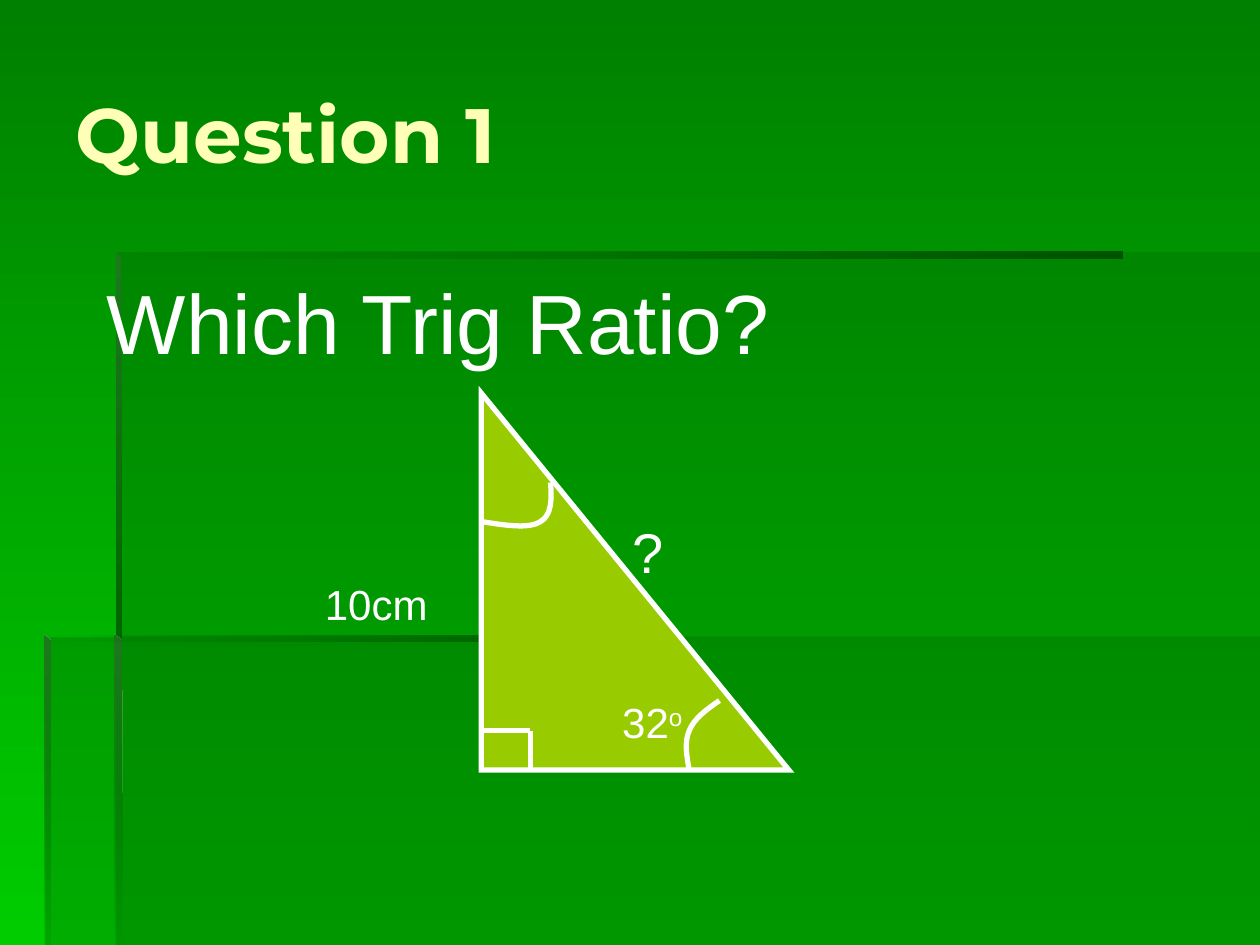
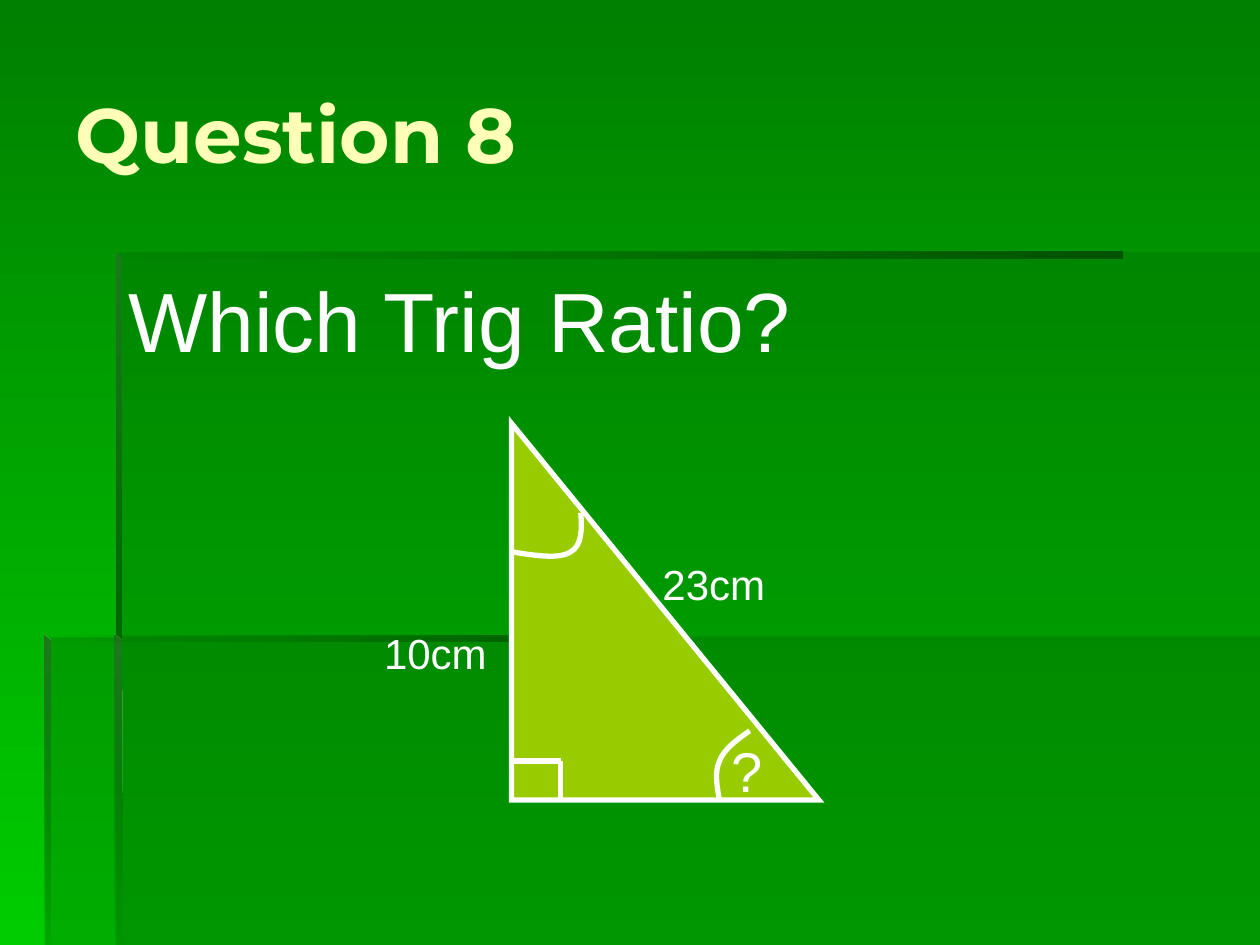
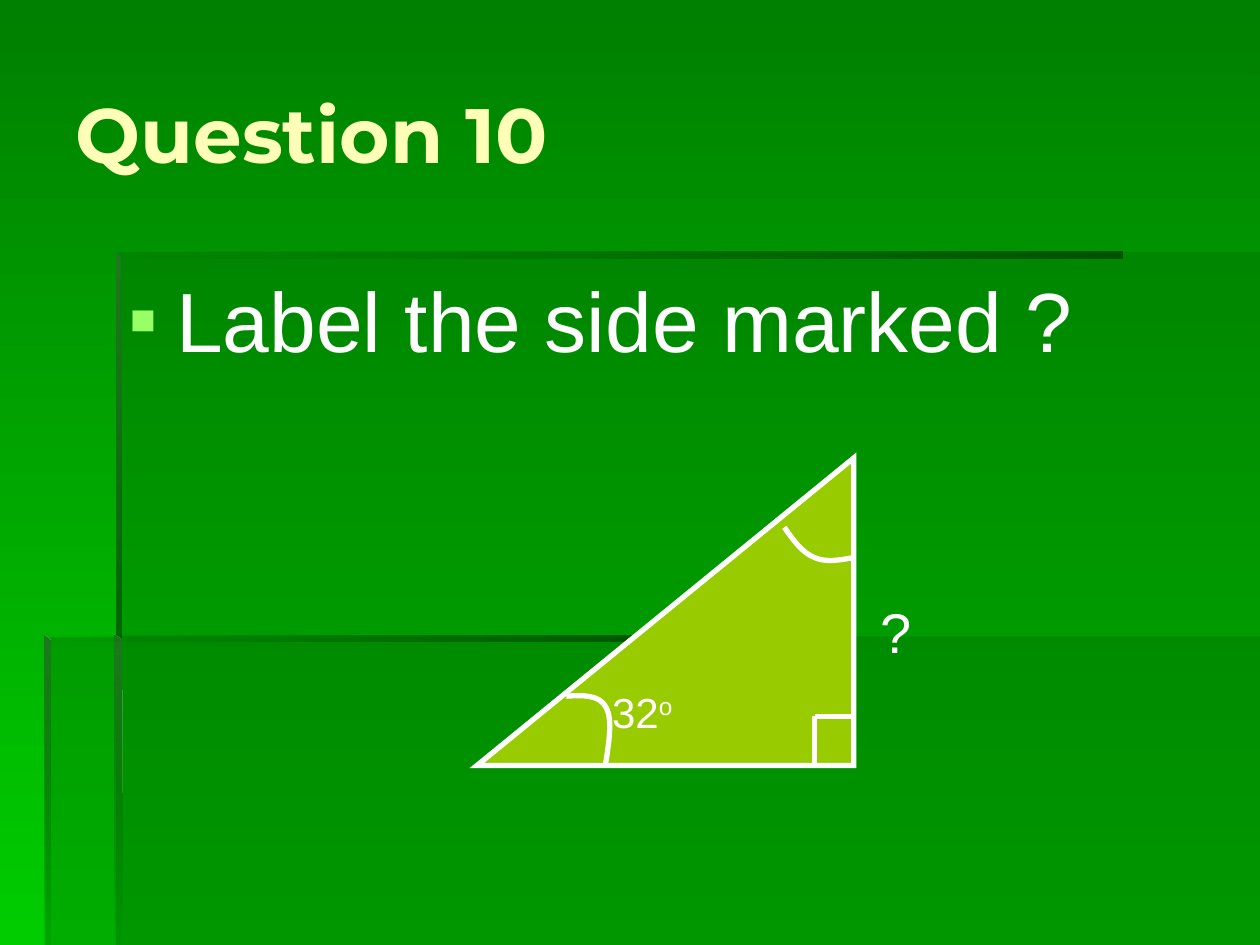
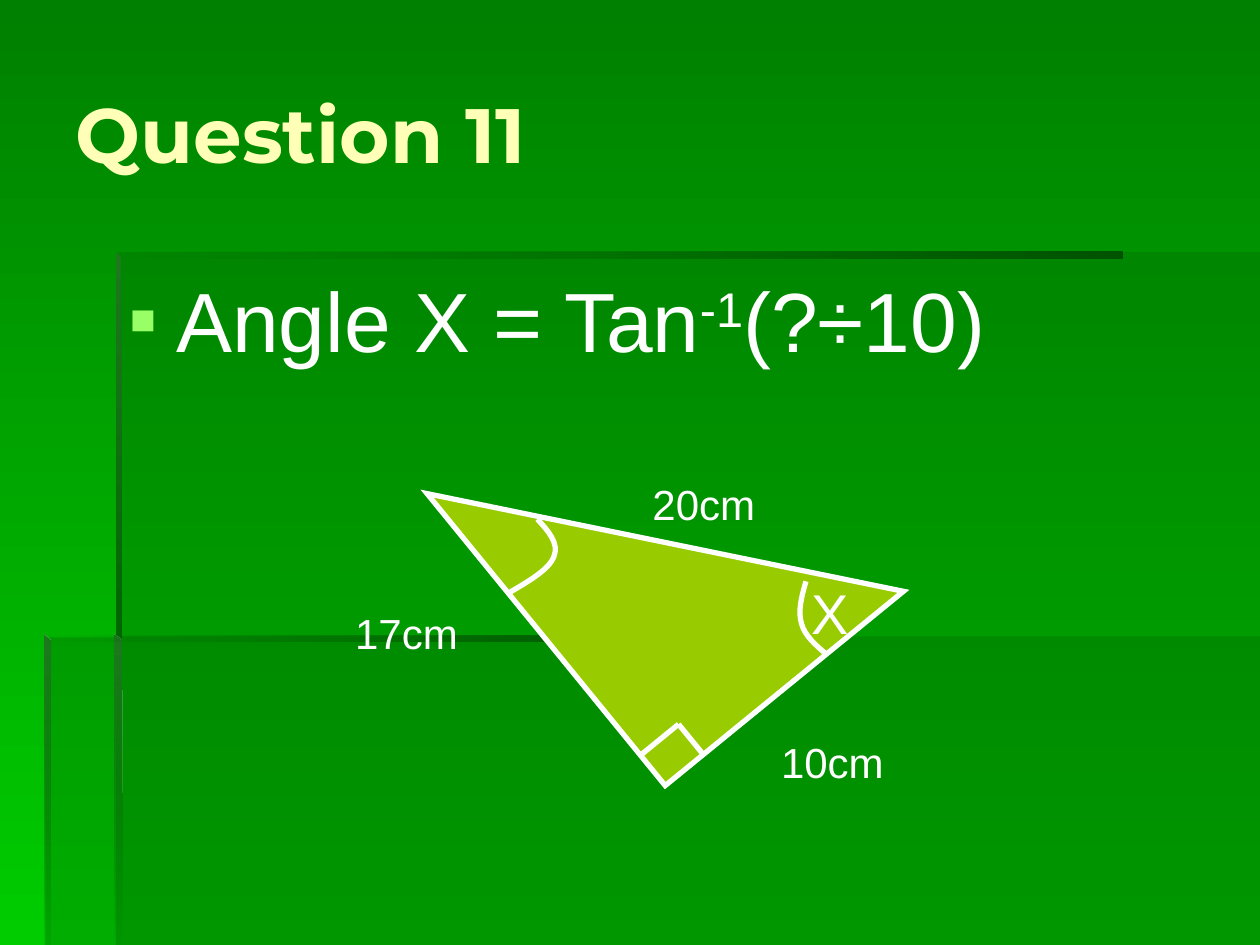
from lxml.etree import SubElement
from pptx import Presentation
from pptx.dml.color import RGBColor
from pptx.enum.shapes import MSO_CONNECTOR, MSO_SHAPE
from pptx.enum.text import MSO_ANCHOR, MSO_AUTO_SIZE, PP_ALIGN
from pptx.oxml.ns import qn
from pptx.util import Inches, Pt

# Shared look
WHITE, CREAM, LIME, BULLET = "FFFFFF", "FFFFB7", "99CC00", "99FF66"
BG_TOP, BG_BOTTOM = "008000", "00CC00"
SHADE, EDGE, HIGHLIGHT = "006600", "005300", "1E781E"
TITLE_FONT, TEXT_FONT = "Montserrat", "Arial"
DOWN, LEFTWARD = 270, 180  # gradient directions
TITLE_BOX = (0.5, 0.27, 9.17, 1.57)
BODY_BOX = (0.92, 2.08, 8.76, 4.58)
TRI_W, TRI_H = 2.44, 2.99

# Panels: outline and opacity
PANELS = [
    ([(0.92, 5.05), (0.92, 7.5), (10, 7.5), (10, 5.05)], 30),
    ([(0.94, 5.06), (0.36, 5.06), (0.36, 7.5), (10, 7.5), (10, 2), (0.94, 2)], 30),
]
# Bevelled edges: outline, start colour, end opacity, direction
EDGES = [
    ([(0.92, 2), (0.92, 2.05), (8.91, 2.05), (8.91, 2)], EDGE, 0, LEFTWARD),
    ([(0.92, 2), (0.92, 5.1), (0.97, 5.1), (0.96, 2.04)], HIGHLIGHT, 100, DOWN),
    ([(0.91, 7.5), (0.97, 7.5), (0.96, 5.08), (0.91, 5.04)], HIGHLIGHT, 0, DOWN),
    ([(0.35, 5.04), (0.35, 5.09), (5.35, 5.09), (5.35, 5.04)], EDGE, 0, LEFTWARD),
    ([(0.35, 5.04), (0.35, 7.5), (0.4, 7.5), (0.4, 5.09)], HIGHLIGHT, 10, DOWN),
]
# Angle arcs as Bezier points, relative to the triangle's box
APEX_ARC = [(0, 1.02), (0.19, 1.05), (0.38, 1.08), (0.47, 1.02),
            (0.56, 0.97), (0.56, 0.84), (0.55, 0.71)]
FOOT_ARC = [(1.89, 2.44), (1.79, 2.51), (1.69, 2.58), (1.65, 2.68),
            (1.61, 2.77), (1.63, 2.88), (1.65, 2.99)]
RIGHT_ANGLE = [(0, 2.68), (0.39, 2.68), (0.39, 2.99)]


def rgb(value):
    return RGBColor.from_string(value)


def box_inches(box):
    return [Inches(v) for v in box]


def set_gradient(fill, colours, angle):
    fill.gradient()
    fill.gradient_angle = angle
    for stop, colour in zip(fill.gradient_stops, colours):
        stop.color.rgb = rgb(colour)


def set_opacity(sp, percent):
    """Apply the opacity to the last colour of the shape's fill."""
    colour = sp.element.spPr.findall(".//" + qn("a:srgbClr"))[-1]
    SubElement(colour, qn("a:alpha"), val=str(percent * 1000))


def add_outline(shapes, points, close=True):
    pts = [box_inches(pt) for pt in points]
    builder = shapes.build_freeform(*pts[0])
    builder.add_line_segments(pts[1:], close=close)
    sp = builder.convert_to_shape()
    sp.shadow.inherit = False
    return sp


def style_line(sp):
    sp.line.color.rgb = rgb(WHITE)
    sp.line.width = Pt(3)


# Background panels and edges, kept on the layout
def add_backdrop(s, layout):
    set_gradient(layout.background.fill, (BG_TOP, BG_BOTTOM), DOWN)
    group = s.shapes.add_group_shape()
    for points, opacity in PANELS:
        sp = add_outline(group.shapes, points)
        sp.fill.solid()
        sp.fill.fore_color.rgb = rgb(SHADE)
        sp.line.fill.background()
        set_opacity(sp, opacity)
    for points, start, opacity, angle in EDGES:
        sp = add_outline(group.shapes, points)
        set_gradient(sp.fill, (start, SHADE), angle)
        sp.line.fill.background()
        set_opacity(sp, opacity)
    layout.shapes.element.insert(2, group.element)


# Text; parts between ^ marks are superscript
def write_runs(p, text, size):
    for i, part in enumerate(text.split("^")):
        if not part:
            continue
        r = p.add_run()
        r.text = part
        r.font.name, r.font.size = TEXT_FONT, Pt(size)
        r.font.color.rgb = rgb(WHITE)
        if i % 2:
            r._r.get_or_add_rPr().set("baseline", "30000")


def add_title(s, text):
    title = s.shapes.title
    title.left, title.top, title.width, title.height = box_inches(TITLE_BOX)
    tf = title.text_frame
    tf.text = text
    tf.auto_size = MSO_AUTO_SIZE.NONE
    tf.vertical_anchor = MSO_ANCHOR.MIDDLE
    p = tf.paragraphs[0]
    p.alignment = PP_ALIGN.LEFT
    font = p.runs[0].font
    font.name, font.size, font.bold = TITLE_FONT, Pt(44), True
    font.color.rgb = rgb(CREAM)


def add_body(s, text, box, bullet):
    tf = s.shapes.add_textbox(*box_inches(box)).text_frame
    tf.word_wrap = True
    p = tf.paragraphs[0]
    if bullet:
        pPr = p._p.get_or_add_pPr()
        pPr.set("marL", str(Inches(0.38)))
        pPr.set("indent", str(-Inches(0.38)))
        SubElement(SubElement(pPr, qn("a:buClr")), qn("a:srgbClr"), val=BULLET)
        SubElement(pPr, qn("a:buFont"), typeface=TEXT_FONT)
        SubElement(pPr, qn("a:buChar"), char="▪")
    write_runs(p, text, 48)


def add_label(s, text, left, top, width):
    size, height = (24, 0.5) if len(text) > 1 else (32, 0.64)
    tf = s.shapes.add_textbox(*box_inches((left, top, width, height))).text_frame
    tf.word_wrap = True
    tf.auto_size = MSO_AUTO_SIZE.SHAPE_TO_FIT_TEXT
    write_runs(tf.paragraphs[0], text, size)


# Right-angled triangle with its three angle marks
def add_arc(shapes, points):
    sp = add_outline(shapes, points, close=False)
    sp.fill.background()
    style_line(sp)
    outline = sp.element.find(".//" + qn("a:path"))
    segments = outline.findall(qn("a:lnTo"))
    for i in range(0, len(segments), 3):
        curve = SubElement(outline, qn("a:cubicBezTo"))
        for segment in segments[i:i + 3]:
            curve.append(segment[0])
            outline.remove(segment)


def add_triangle(s, left, top, rotation):
    def place(points):
        return [(left + x, top + y) for x, y in points]

    group = s.shapes.add_group_shape()
    tri = group.shapes.add_shape(MSO_SHAPE.RIGHT_TRIANGLE,
                                 *box_inches((left, top, TRI_W, TRI_H)))
    tri.shadow.inherit = False
    tri.fill.solid()
    tri.fill.fore_color.rgb = rgb(LIME)
    style_line(tri)
    SubElement(tri.element.spPr.find(qn("a:ln")), qn("a:miter"), lim="800000")
    for arc in (APEX_ARC, FOOT_ARC):
        add_arc(group.shapes, place(arc))
    corner = place(RIGHT_ANGLE)
    for start, end in zip(corner, corner[1:]):
        line = group.shapes.add_connector(MSO_CONNECTOR.STRAIGHT,
                                          *box_inches(start + end))
        style_line(line)
        SubElement(line.element.spPr, qn("a:effectLst"))
    group.rotation = rotation


def add_question(s, number, text, triangle, labels, box=BODY_BOX, bullet=False):
    add_title(s, f"Question {number}")
    add_body(s, text, box, bullet)
    add_triangle(s, *triangle)
    for label in labels:
        add_label(s, *label)


# Triangle: left, top, rotation; label: text, left, top, width
QUESTIONS = [
    dict(number=1, text="Which Trig Ratio?", box=(0.75, 2.1, 8.76, 4.58),
         triangle=(3.82, 3.12, 0),
         labels=[("10cm", 2.48, 4.54, 1.26), ("32^o^", 4.84, 5.48, 0.87),
                 ("?", 4.92, 4.06, 0.63)]),
    dict(number=8, text="Which Trig Ratio?", triangle=(4.06, 3.36, 0),
         labels=[("10cm", 2.95, 4.93, 1.26), ("23cm", 5.16, 4.38, 1.1),
                 ("?", 5.71, 5.8, 0.63)]),
    dict(number=10, text="Label the side marked ?", bullet=True,
         triangle=(4.06, 3.36, 270),
         labels=[("32^o^", 4.76, 5.4, 0.87), ("?", 6.89, 4.69, 0.63)]),
    dict(number=11, text="Angle X = Tan^-1^(?÷10)", bullet=True,
         triangle=(4.06, 2.81, 320.8),
         labels=[("17cm", 2.72, 4.77, 1.26), ("20cm", 5.08, 3.75, 1.18),
                 ("X", 6.34, 4.54, 0.63), ("10cm", 6.1, 5.8, 1.18)]),
]


def main():
    prs = Presentation()
    prs.slide_width, prs.slide_height = Inches(10), Inches(7.5)
    layout = prs.slide_layouts[5]
    for ph in list(layout.placeholders)[1:]:
        ph.element.getparent().remove(ph.element)
    slides = [prs.slides.add_slide(layout) for _ in QUESTIONS]
    add_backdrop(slides[0], layout)
    for s, question in zip(slides, QUESTIONS):
        add_question(s, **question)
    prs.save("out.pptx")


if __name__ == "__main__":
    main()
